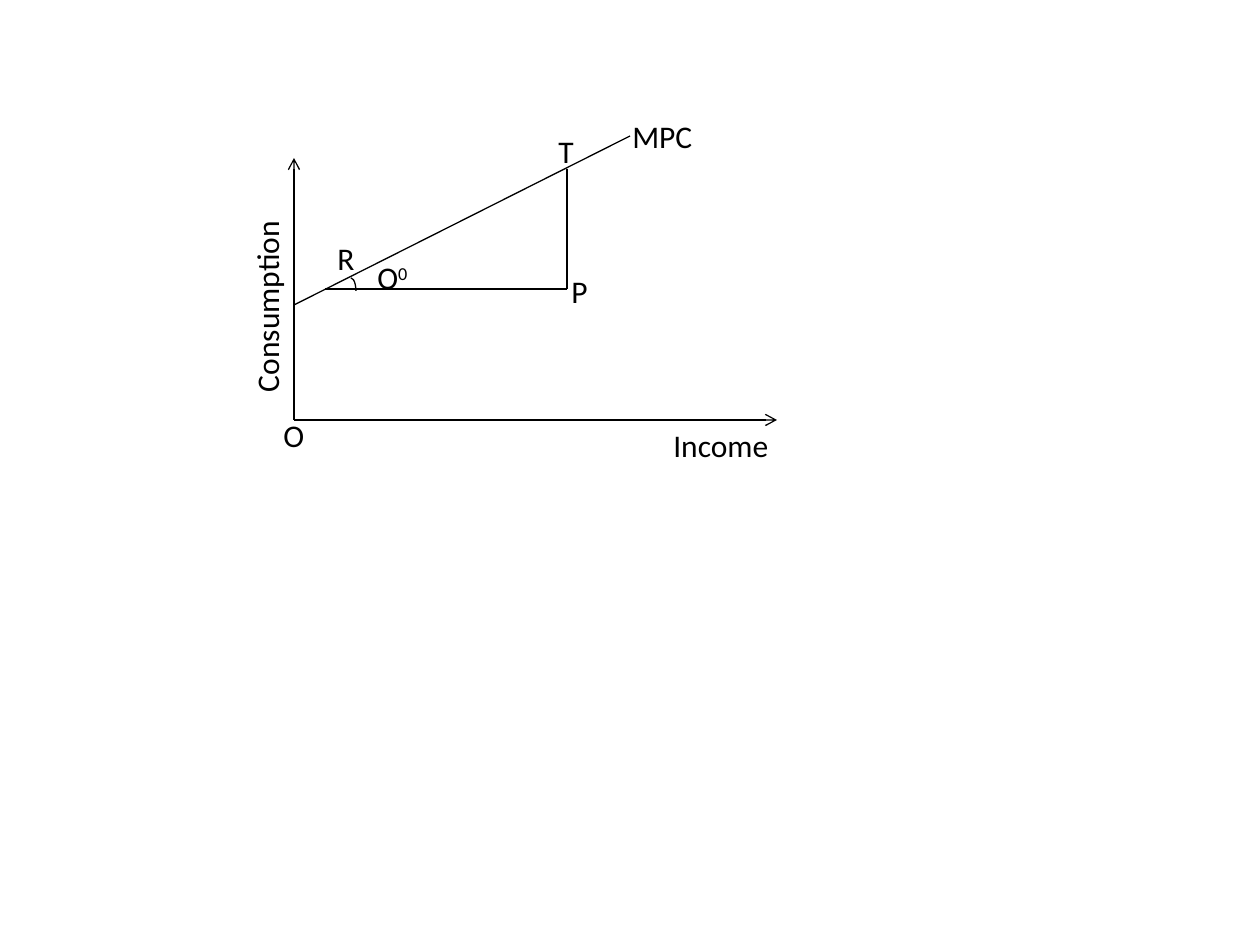
from dataclasses import dataclass

from lxml.etree import SubElement
from pptx import Presentation
from pptx.dml.color import RGBColor
from pptx.enum.shapes import MSO_CONNECTOR, MSO_SHAPE
from pptx.enum.text import MSO_AUTO_SIZE
from pptx.oxml.ns import qn
from pptx.util import Emu, Pt


@dataclass(frozen=True)
class Theme:
    ink: RGBColor = RGBColor(0, 0, 0)
    font: str = "Calibri"
    size: Pt = Pt(18)
    line: Pt = Pt(0.75)


THEME = Theme()
PX_PER_INCH = 126
LABEL_H = 50


def px(n):
    return Emu(round(n * 914400 / PX_PER_INCH))


def style_line(line):
    line.color.rgb = THEME.ink
    line.width = THEME.line


def add_line(s, start, end, arrow=False):
    c = s.shapes.add_connector(MSO_CONNECTOR.STRAIGHT, *map(px, start + end))
    style_line(c.line)
    if arrow:
        SubElement(c.line._get_or_add_ln(), qn("a:tailEnd"), type="arrow")
    SubElement(c._element.spPr, qn("a:effectLst"))


def add_label(s, x, y, w, text, superscript="", rotation=0):
    sp = s.shapes.add_textbox(px(x), px(y), px(w), px(LABEL_H))
    sp.rotation = rotation
    tf = sp.text_frame
    tf.word_wrap = False
    tf.auto_size = MSO_AUTO_SIZE.SHAPE_TO_FIT_TEXT
    tf.text = text
    p = tf.paragraphs[0]
    if superscript:
        r = p.add_run()
        r.text = superscript
        r.font._element.set("baseline", "30000")
    for r in p.runs:
        r.font.name = THEME.font
        r.font.size = THEME.size
        r.font.color.rgb = THEME.ink


def add_mpc_diagram(s, left, top, width, height):
    def at(x, y):
        return left + x, top + y

    axis_x, axis_y = 130, height - 50
    origin = at(axis_x, axis_y)
    point_t, point_p, point_r = at(403, 59), at(403, 179), at(161, 179)

    # Axes
    add_line(s, origin, at(axis_x, 48), arrow=True)
    add_line(s, origin, at(width - 13, axis_y), arrow=True)

    # Consumption line and slope triangle
    add_line(s, at(axis_x, 195), at(466, 26))
    add_line(s, point_t, point_p)
    add_line(s, point_p, point_r)

    # Angle mark
    arc = s.shapes.add_shape(MSO_SHAPE.ARC, *map(px, at(182, 168) + (10, 26)))
    arc.shadow.inherit = False
    arc.fill.background()
    style_line(arc.line)

    # Point, line and axis labels
    for x, y, w, text in [
        (161, 123, 43, "R"),
        (382, 16, 40, "T"),
        (395, 156, 42, "P"),
        (456, 1, 86, "MPC"),
        (497, axis_y, 129, "Income"),
        (107, axis_y - 10, 54, "O"),
    ]:
        add_label(s, *at(x, y), w, text)
    add_label(s, *at(201, 142), 57, "O", superscript="0")
    add_label(s, *at(0, 167), 205, "Consumption", rotation=270)


def main():
    prs = Presentation()
    prs.slide_width, prs.slide_height = px(1260), px(945)
    s = prs.slides.add_slide(prs.slide_layouts[6])
    add_mpc_diagram(s, 164, 110, 626, 360)
    prs.save("out.pptx")


if __name__ == "__main__":
    main()
